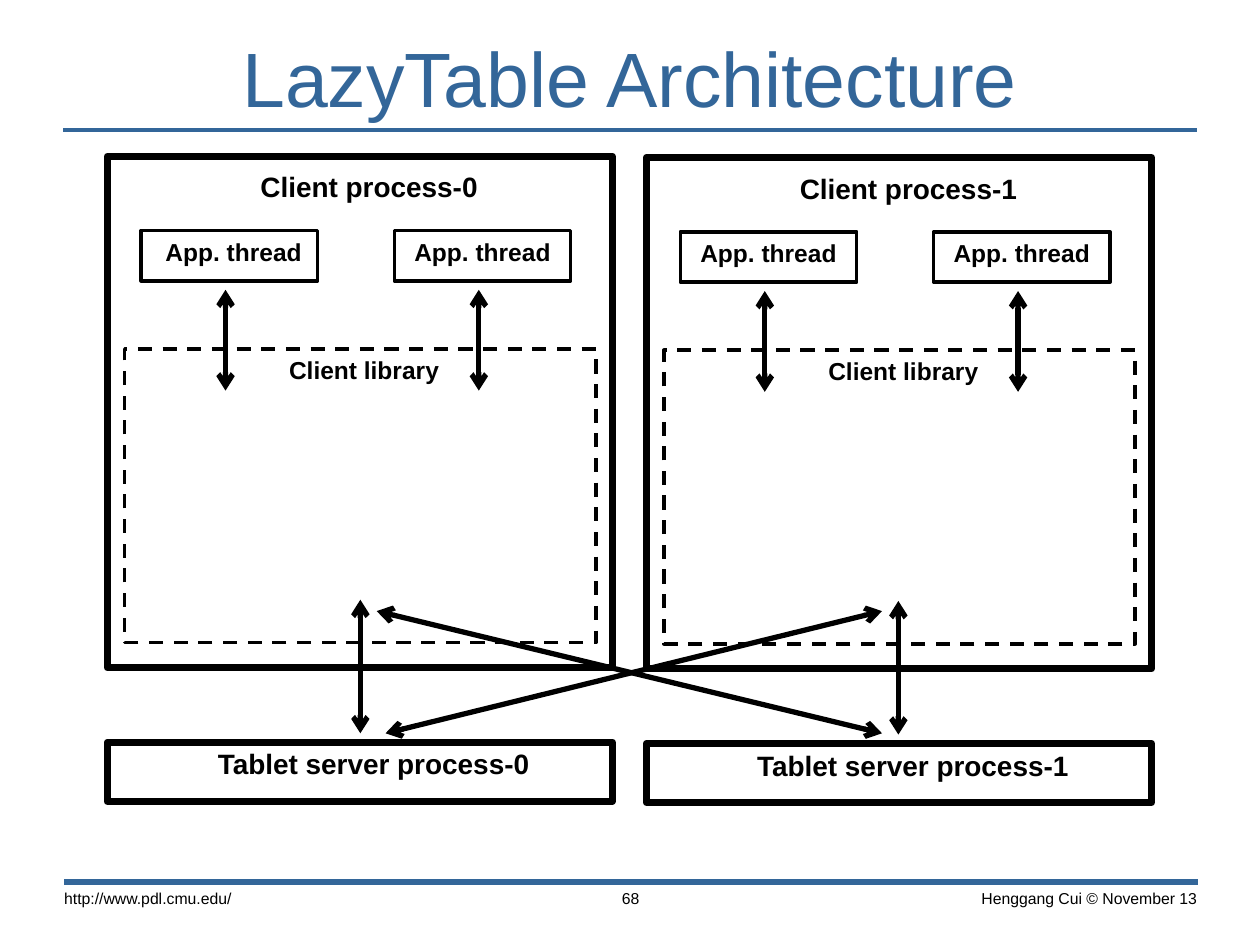
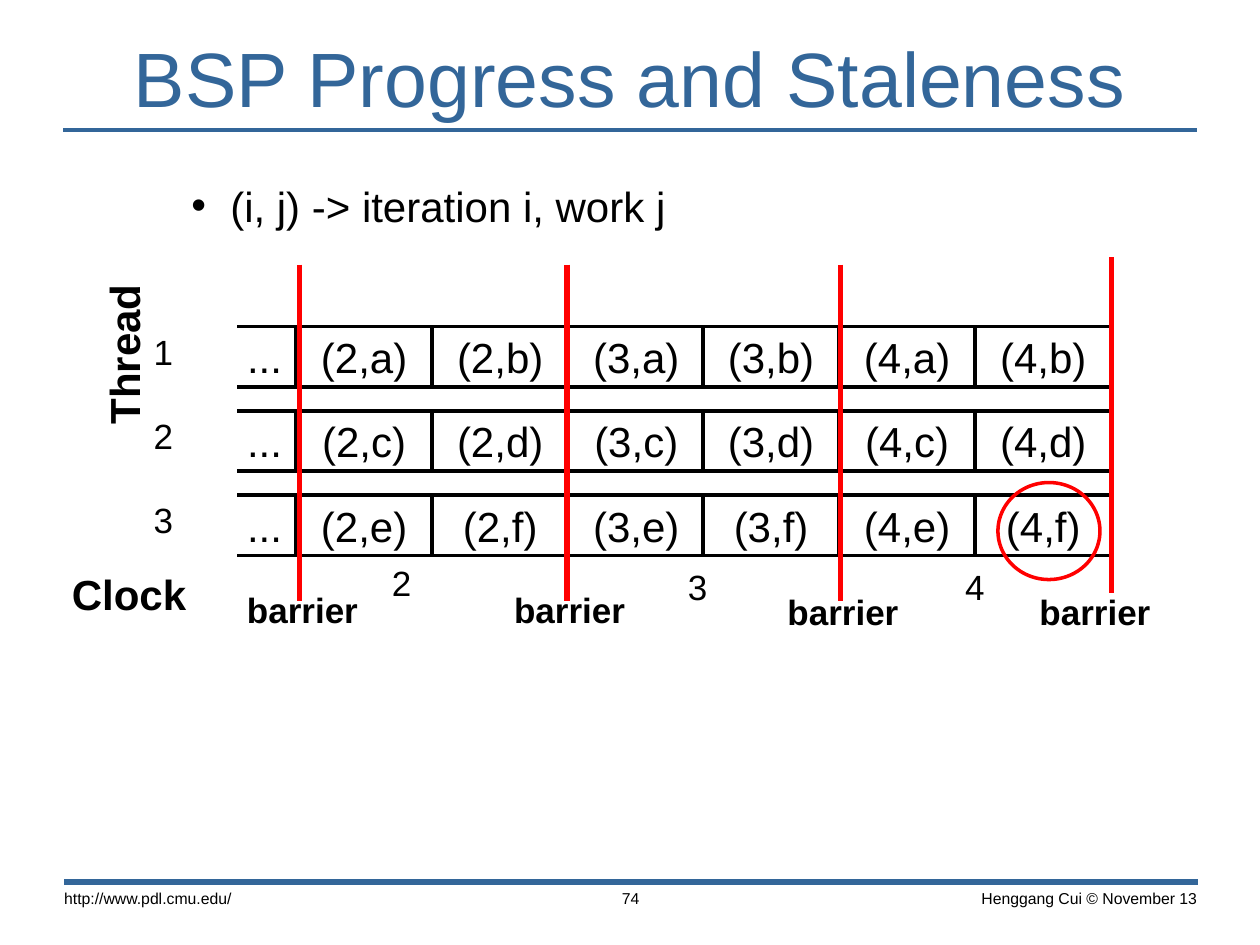
from dataclasses import dataclass

from lxml.etree import SubElement
from pptx import Presentation
from pptx.dml.color import RGBColor
from pptx.enum.dml import MSO_LINE
from pptx.enum.shapes import MSO_CONNECTOR, MSO_SHAPE
from pptx.enum.text import MSO_ANCHOR, MSO_AUTO_SIZE, PP_ALIGN
from pptx.oxml.ns import qn
from pptx.util import Pt

PX = 9144  # 100 px to the inch


@dataclass(frozen=True)
class Theme:
    font: str = "Arial"
    accent: RGBColor = RGBColor(0x33, 0x66, 0x99)
    ink: RGBColor = RGBColor(0, 0, 0)
    paper: RGBColor = RGBColor(255, 255, 255)
    alert: RGBColor = RGBColor(255, 0, 0)
    title_size: int = 44
    body_size: int = 24
    tick_size: int = 20
    process_size: int = 16
    inner_size: int = 14
    footer_size: int = 9


@dataclass(frozen=True)
class Box:
    left: int
    top: int
    width: int
    height: int

    def inside(self, left, top, width, height):
        return Box(self.left + left, self.top + top, width, height)

    def point(self, left, top):
        return self.left + left, self.top + top

    def emu(self):
        return [length * PX for length in (self.left, self.top, self.width, self.height)]


THEME = Theme()
PAGE = Box(0, 0, 1000, 750)
DEFAULT_INSETS = (10, 5)
TIGHT_INSETS = (7, 3)
FOOTER_INSETS = (11, 6)


# Basic elements

def write_text(shape, text, size, bold=False, color=THEME.ink, align=PP_ALIGN.LEFT,
               insets=DEFAULT_INSETS, anchor=MSO_ANCHOR.TOP):
    frame = shape.text_frame
    frame.text = text
    frame.word_wrap = True
    frame.auto_size = MSO_AUTO_SIZE.NONE
    frame.vertical_anchor = anchor
    frame.margin_left = frame.margin_right = insets[0] * PX
    frame.margin_top = frame.margin_bottom = insets[1] * PX
    paragraph = frame.paragraphs[0]
    paragraph.alignment = align
    font = paragraph.runs[0].font
    font.name, font.size, font.bold = THEME.font, Pt(size), bold
    font.color.rgb = color


def add_label(slide, box, text, size, **style):
    label = slide.shapes.add_textbox(*box.emu())
    write_text(label, text, size, **style)
    return label


def add_figure(slide, box, width=None, kind=MSO_SHAPE.RECTANGLE, fill=THEME.paper,
               color=THEME.ink, dashed=False):
    shape = slide.shapes.add_shape(kind, *box.emu())
    shape.shadow.inherit = False
    if fill is None:
        shape.fill.background()
    else:
        shape.fill.solid()
        shape.fill.fore_color.rgb = fill
    if width is None:
        shape.line.fill.background()
    else:
        shape.line.color.rgb = color
        shape.line.width = Pt(width)
    if dashed:
        shape.line.dash_style = MSO_LINE.DASH
    return shape


def add_line(slide, start, end, color, width, arrows=False):
    ends = [length * PX for length in (*start, *end)]
    connector = slide.shapes.add_connector(MSO_CONNECTOR.STRAIGHT, *ends)
    connector.line.color.rgb = color
    connector.line.width = Pt(width)
    properties = connector._element.spPr
    if arrows:
        for tag in ("a:headEnd", "a:tailEnd"):
            SubElement(properties.find(qn("a:ln")), qn(tag), type="arrow")
    SubElement(properties, qn("a:effectLst"))


def add_arrow(slide, start, end):
    add_line(slide, start, end, THEME.ink, 3, arrows=True)


# Title, rules and footer of every slide

def add_page(presentation, title, number):
    slide = presentation.slides.add_slide(presentation.slide_layouts[5])
    add_line(slide, (50, 103), (950, 103), THEME.accent, 2)
    add_line(slide, (51, 700), (951, 700), THEME.accent, 3.5)
    heading = slide.shapes.title
    heading.left, heading.top, heading.width, heading.height = PAGE.inside(0, 23, 1000, 75).emu()
    write_text(heading, title, THEME.title_size, color=THEME.accent,
               align=PP_ALIGN.CENTER, anchor=MSO_ANCHOR.MIDDLE)
    footers = [
        (707, 254, 42, "Henggang Cui © November 13", PP_ALIGN.RIGHT),
        (40, 250, 42, "http://www.pdl.cmu.edu/", PP_ALIGN.LEFT),
        (403, 195, 23, str(number), PP_ALIGN.CENTER),
    ]
    for left, width, height, text, align in footers:
        add_label(slide, PAGE.inside(left, 699, width, height), text, THEME.footer_size,
                  align=align, insets=FOOTER_INSETS)
    return slide


# Architecture slide

def add_caption(slide, box, text, size):
    add_label(slide, box, text, size, bold=True, align=PP_ALIGN.CENTER)


def add_server(slide, box, index):
    add_figure(slide, box, 4)
    add_caption(slide, box.inside(61, -1, 301, 37), f"Tablet server process-{index}",
                THEME.process_size)


def add_client(slide, box, index):
    add_figure(slide, box, 4)
    add_caption(slide, box.inside(81, 6, 254, 37), f"Client process-{index}",
                THEME.process_size)
    add_figure(slide, box.inside(14, 153, 374, 233), 2, dashed=True)
    add_caption(slide, box.inside(114, 153, 180, 34), "Client library", THEME.inner_size)
    for column, thread_left in enumerate((27, 228)):
        thread = box.inside(thread_left, 59, 140, 40)
        add_figure(slide, thread, 2)
        # The very first caption sits in a slightly wider box
        caption_width = 147 if index == column == 0 else 140
        add_caption(slide, thread.inside(0, 0, caption_width, 34), "App. thread",
                    THEME.inner_size)
        add_arrow(slide, thread.point(67, 47), thread.point(67, 127))


def build_architecture(presentation):
    slide = add_page(presentation, "LazyTable Architecture", 68)
    for index in range(2):
        column = Box(85 + 428 * index, 124 + index, 401, 512)
        add_server(slide, column.inside(0, 465, 401, 47), index)
        add_client(slide, column.inside(0, 0, 401, 406), index)
    # Each client library talks to each server
    links = [((299, 485), (700, 582)), ((286, 476), (286, 582)),
             ((700, 485), (306, 582)), ((713, 477), (713, 583))]
    for start, end in links:
        add_arrow(slide, start, end)


# Progress slide

def add_bullet(slide, box, text):
    label = add_label(slide, box, text, THEME.body_size)
    properties = label.text_frame.paragraphs[0]._p.get_or_add_pPr()
    properties.set("marL", str(81 * PX))
    properties.set("indent", str(-31 * PX))
    SubElement(properties, qn("a:buFont"), typeface=THEME.font)
    SubElement(properties, qn("a:buChar"), char="•")


def add_cell(slide, box, text):
    write_text(add_figure(slide, box, 2), text, THEME.body_size, align=PP_ALIGN.CENTER,
               insets=TIGHT_INSETS, anchor=MSO_ANCHOR.MIDDLE)


def add_work_grid(slide, box):
    """Threads run down the rows, two work items for each clock run across."""
    for row, works in enumerate(("ab", "cd", "ef")):
        top = 67 * row
        add_label(slide, box.inside(-70, top, 36, 40), str(row + 1), THEME.tick_size,
                  insets=TIGHT_INSETS)
        add_cell(slide, box.inside(0, top, 50, 48), "...")
        items = [f"({clock},{work})" for clock in (2, 3, 4) for work in works]
        for column, item in enumerate(items):
            add_cell(slide, box.inside(50 + round(107.8 * column), top, 108, 48), item)
    # Open left edge and the highlighted item
    add_figure(slide, box.inside(-7, -4, 10, 191))
    add_figure(slide, box.inside(607, 124, 81, 77), 2, MSO_SHAPE.OVAL,
               fill=None, color=THEME.alert)


def add_axis_names(slide, box):
    thread = add_label(slide, box.inside(21, 0, 54, 130), "Thread", THEME.body_size,
                       bold=True, insets=TIGHT_INSETS)
    thread.text_frame._txBody.bodyPr.set("vert", "vert270")
    add_label(slide, box.inside(0, 238, 188, 47), "Clock", THEME.body_size,
              bold=True, insets=TIGHT_INSETS)


def add_clock_marks(slide, box):
    for clock, left, top in ((2, 119, 233), (3, 354, 236), (4, 574, 236)):
        add_label(slide, box.inside(left, top, 36, 40), str(clock), THEME.tick_size,
                  insets=TIGHT_INSETS)
    # Line left, line top, label left, label top
    barriers = [(53, 0, 4, 254), (265, 0, 216, 254), (482, 0, 433, 256), (697, -6, 633, 256)]
    for left, top, label_left, label_top in barriers:
        add_line(slide, box.point(left, top), box.point(left, top + 267), THEME.alert, 3)
        add_label(slide, box.inside(label_left, label_top, 120, 40), "barrier",
                  THEME.tick_size, bold=True, insets=TIGHT_INSETS)


def build_progress(presentation):
    slide = add_page(presentation, "BSP Progress and Staleness", 74)
    add_bullet(slide, PAGE.inside(92, 138, 850, 508), "(i, j) -> iteration i, work j")
    add_axis_names(slide, PAGE.inside(50, 210, 188, 285))
    add_work_grid(slide, PAGE.inside(185, 259, 697, 182))
    add_clock_marks(slide, PAGE.inside(185, 210, 753, 296))


def main():
    presentation = Presentation()
    presentation.slide_width = PAGE.width * PX
    presentation.slide_height = PAGE.height * PX
    build_architecture(presentation)
    build_progress(presentation)
    presentation.save("out.pptx")


if __name__ == "__main__":
    main()
